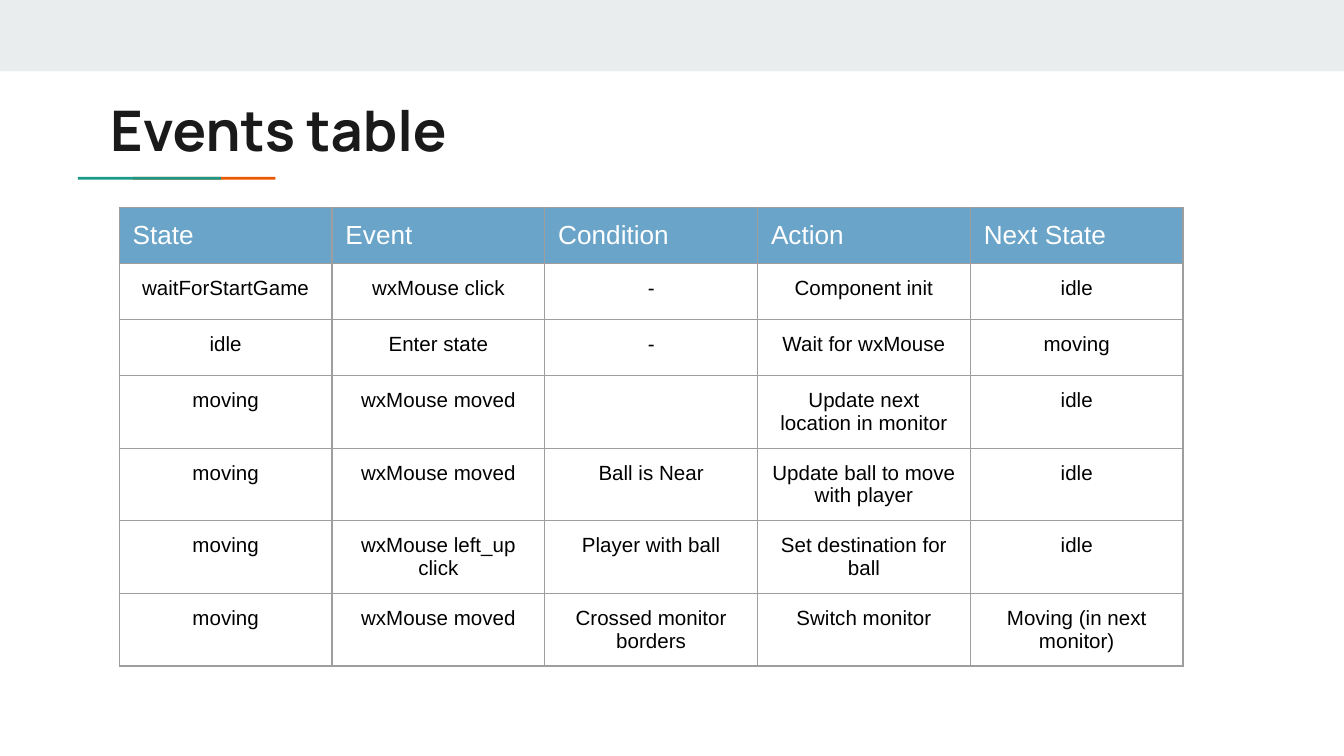
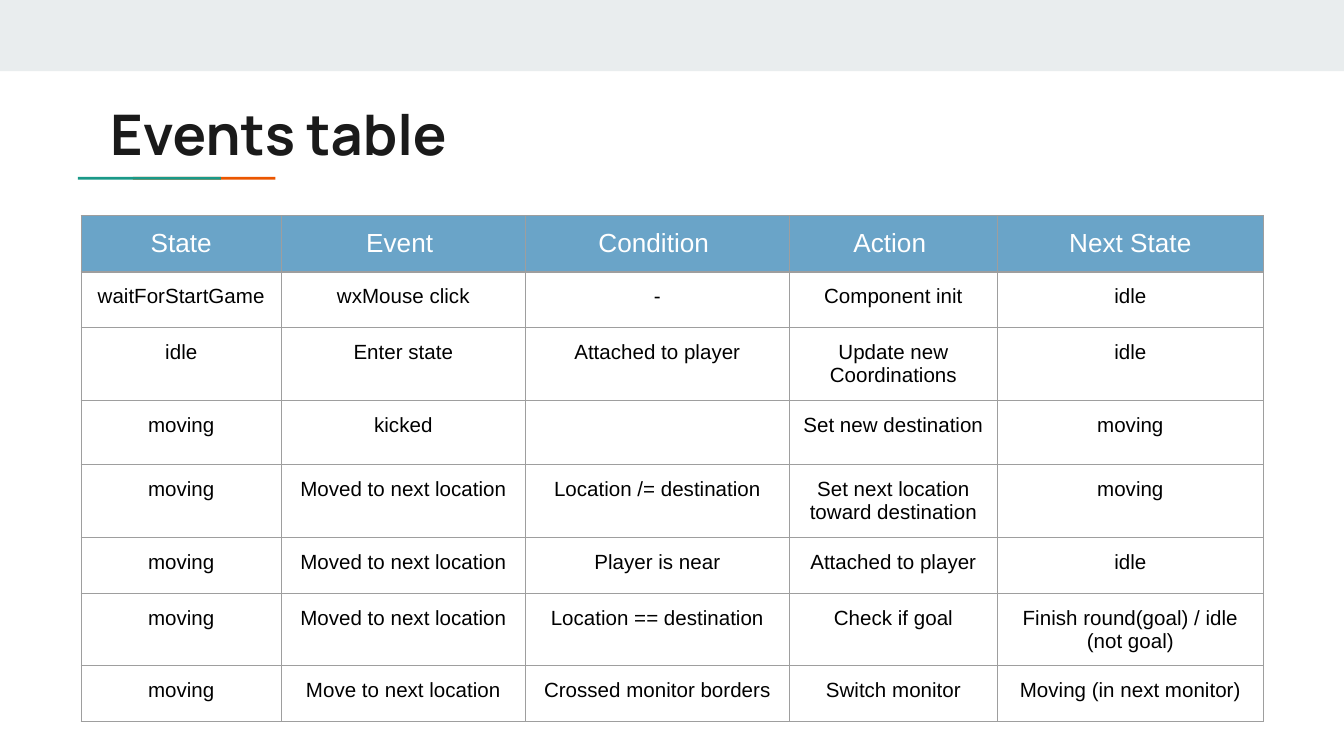
from lxml import etree
from pptx import Presentation
from pptx.dml.color import RGBColor
from pptx.enum.shapes import MSO_SHAPE
from pptx.enum.text import MSO_ANCHOR, MSO_AUTO_SIZE, PP_ALIGN
from pptx.oxml.ns import qn
from pptx.util import Pt

RECTANGLE = MSO_SHAPE.RECTANGLE
TOP = MSO_ANCHOR.TOP
NO_AUTOFIT = MSO_AUTO_SIZE.NONE
LEFT, CENTER = PP_ALIGN.LEFT, PP_ALIGN.CENTER

COLORS = {
    "band": "E9EDEE",
    "teal": "1A9988",
    "orange": "EB5600",
    "title": "1A1A1A",
    "header": "6AA4C8",
    "header_text": "FFFFFF",
    "body_text": "000000",
    "border": "9E9E9E",
}
INSET = Pt(7.2)
ROW_HEIGHT = 30
EMPTY_CELL_ROW_HEIGHT = 34.3

event_tables = [
    {
        "title_top": 44,
        "left": 63.9,
        "top": 111,
        "widths": [114] * 5,
        "header_alignment": LEFT,
        "rows": [
            ["State", "Event", "Condition", "Action", "Next State"],
            ["waitForStartGame", "wxMouse click", "-", "Component init", "idle"],
            ["idle", "Enter state", "-", "Wait for wxMouse", "moving"],
            ["moving", "wxMouse moved", "", "Update next location in monitor", "idle"],
            ["moving", "wxMouse moved", "Ball is Near", "Update ball to move with player", "idle"],
            ["moving", "wxMouse left_up click", "Player with ball", "Set destination for ball", "idle"],
            ["moving", "wxMouse moved", "Crossed monitor borders", "Switch monitor", "Moving (in next monitor)"],
        ],
    },
    {
        "title_top": 46,
        "left": 43.5,
        "top": 115.5,
        "widths": [107.2, 130.8, 141.4, 111.5, 142.4],
        "header_alignment": CENTER,
        "rows": [
            ["State", "Event ", "Condition ", "Action ", "Next State"],
            ["waitForStartGame", "wxMouse click", "-", "Component init", "idle"],
            ["idle", "Enter state", "Attached to player", "Update new Coordinations", "idle"],
            ["moving", "kicked", "", "Set new destination", "moving"],
            ["moving", "Moved to next location", "Location /= destination", "Set next location toward destination", "moving"],
            ["moving", "Moved to next location", "Player is near", "Attached to player", "idle"],
            ["moving", "Moved to next location", "Location == destination", "Check if goal", "Finish round(goal) / idle (not goal)"],
            ["moving", "Move to next location", "Crossed monitor borders", "Switch monitor", "Moving (in next monitor)"],
        ],
    },
]


def format_paragraph(para, font_name, size, color, bold, alignment):
    para.alignment = alignment
    for span in para.runs:
        span.font.name = font_name
        span.font.size = Pt(size)
        span.font.bold = bold
        span.font.color.rgb = RGBColor.from_string(COLORS[color])
    if not para.runs:
        etree.SubElement(para._p, qn("a:endParaRPr"), sz=str(size * 100))


def add_borders(cell):
    properties = cell._tc.get_or_add_tcPr()
    for side in ("L", "R", "T", "B"):
        line = etree.SubElement(properties, qn(f"a:ln{side}"), w=str(Pt(0.75)))
        fill = etree.SubElement(line, qn("a:solidFill"))
        etree.SubElement(fill, qn("a:srgbClr"), val=COLORS["border"])


deck = Presentation()
deck.slide_width = Pt(720)
deck.slide_height = Pt(405)
layout = deck.slide_layouts[5]
for placeholder in list(layout.placeholders):
    if placeholder.placeholder_format.idx:
        layout.shapes.element.remove(placeholder.element)

pages = [deck.slides.add_slide(layout) for _ in event_tables]

decorations = [
    ("band", 0, 0, 720, 38.2),
    ("orange", 71.2, 94.8, 76.4, 1.5),
    ("teal", 41.8, 94.8, 76.6, 1.5),
]
for position, (color, *frame) in enumerate(decorations, start=2):
    bar = pages[0].shapes.add_shape(RECTANGLE, *map(Pt, frame))
    bar.shadow.inherit = False
    bar.fill.solid()
    bar.fill.fore_color.rgb = RGBColor.from_string(COLORS[color])
    bar.line.fill.background()
    layout.shapes.element.insert(position, bar.element)

for page, events in zip(pages, event_tables):
    title = page.shapes.title
    title.left, title.top = Pt(51.8), Pt(events["title_top"])
    title.width, title.height = Pt(605.5), Pt(42.5)
    box = title.text_frame
    box.text = "Events table"
    box.word_wrap = True
    box.auto_size = NO_AUTOFIT
    box.vertical_anchor = TOP
    box.margin_left = box.margin_right = box.margin_top = box.margin_bottom = INSET
    format_paragraph(box.paragraphs[0], "Manrope", 30, "title", True, LEFT)

    rows, widths = events["rows"], events["widths"]
    table = page.shapes.add_table(
        len(rows), len(widths), Pt(events["left"]), Pt(events["top"]),
        Pt(sum(widths)), Pt(ROW_HEIGHT * len(rows)),
    ).table
    table.horz_banding = False
    for column, width in zip(table.columns, widths):
        column.width = Pt(width)

    for row_index, texts in enumerate(rows):
        height = ROW_HEIGHT if all(texts) else EMPTY_CELL_ROW_HEIGHT
        table.rows[row_index].height = Pt(height)
        for column_index, text in enumerate(texts):
            cell = table.cell(row_index, column_index)
            cell.margin_left = cell.margin_right = INSET
            cell.margin_top = cell.margin_bottom = INSET
            add_borders(cell)
            para = cell.text_frame.paragraphs[0]
            if text:
                para.text = text
            if row_index == 0:
                cell.fill.solid()
                cell.fill.fore_color.rgb = RGBColor.from_string(COLORS["header"])
                format_paragraph(para, "Arial", 14, "header_text", False, events["header_alignment"])
            else:
                cell.fill.background()
                format_paragraph(para, "Arial", 11, "body_text", False, CENTER)

deck.save("out.pptx")
